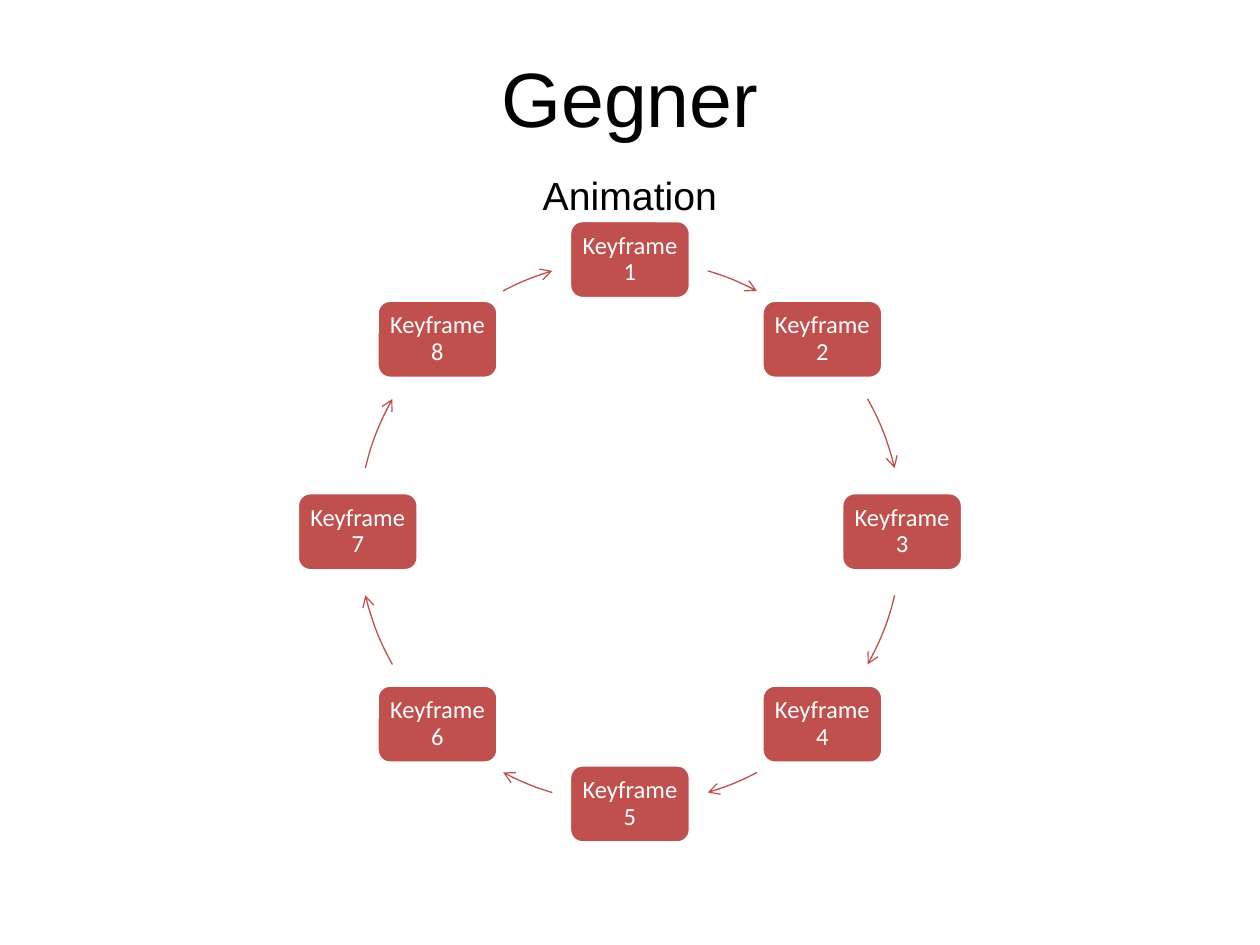
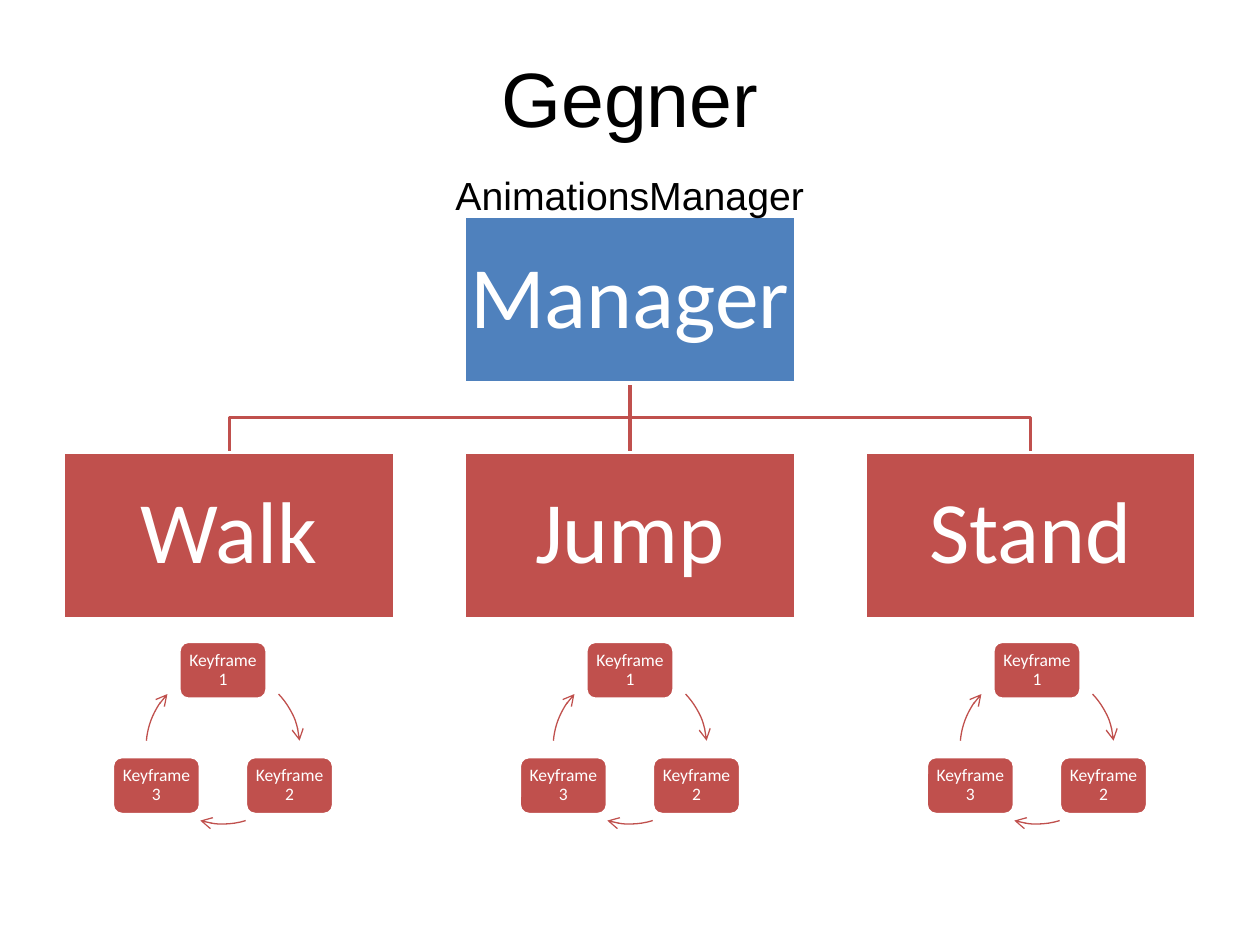
import math

import pptx
import pptx.dml.color
import pptx.enum.shapes
import pptx.enum.text
import pptx.oxml
import pptx.oxml.ns
import pptx.util

Inches = pptx.util.Inches
Pt = pptx.util.Pt
SHAPES = pptx.enum.shapes.MSO_SHAPE

RED = "C0504D"
BLUE = "4F81BD"
WHITE = "FFFFFF"
BLACK = "000000"
CENTRE_X = 5
TREE_STEP = 3.18
CYCLE_STEP = 3.23
NODE_SIZE = (2.63, 1.32)
MANAGER_Y = 2.38
ACTION_Y = 4.25


def colour(value):
    return pptx.dml.color.RGBColor.from_string(value)


def set_line(item, value, width):
    item.line.color.rgb = colour(value)
    item.line.width = Pt(width)


def remove_effects(connector):
    effects = pptx.oxml.parse_xml("<a:effectLst %s/>" % pptx.oxml.ns.nsdecls("a"))
    connector.element.spPr.append(effects)


def add_arrowhead(item):
    tail = pptx.oxml.parse_xml('<a:tailEnd type="arrow" %s/>' % pptx.oxml.ns.nsdecls("a"))
    item.line._get_or_add_ln().append(tail)


def write_text(box, text, size, font, text_colour):
    frame = box.text_frame
    frame.word_wrap = True
    frame.vertical_anchor = pptx.enum.text.MSO_ANCHOR.MIDDLE
    para = frame.paragraphs[0]
    para.alignment = pptx.enum.text.PP_ALIGN.CENTER
    span = para.add_run()
    span.text = text
    span.font.size = Pt(size)
    span.font.name = font
    span.font.color.rgb = colour(text_colour)
    return frame


def add_heading(page, text, left, top, width, height, size):
    box = page.shapes.add_textbox(Inches(left), Inches(top), Inches(width), Inches(height))
    return write_text(box, text, size, "Arial", BLACK)


def add_page(deck):
    page = deck.slides.add_slide(deck.slide_layouts[6])
    add_heading(page, "Gegner", 0.5, 0.3, 9, 0.93, 44)
    return page


def add_subtitle(page, text):
    frame = add_heading(page, text, 0.51, 1.31, 8.98, 0.39, 22.4)
    frame.vertical_anchor = pptx.enum.text.MSO_ANCHOR.TOP
    frame.paragraphs[0].space_before = Pt(3)


def add_node(page, kind, text, x, y, size, fill, font_size, inset):
    width, height = size
    node = page.shapes.add_shape(kind, Inches(x - width / 2), Inches(y - height / 2),
                                 Inches(width), Inches(height))
    node.shadow.inherit = False
    node.fill.solid()
    node.fill.fore_color.rgb = colour(fill)
    set_line(node, WHITE, 2)
    frame = write_text(node, text, font_size, "Calibri", WHITE)
    frame.margin_left = frame.margin_right = Inches(inset)
    frame.margin_top = frame.margin_bottom = Inches(inset)
    frame.paragraphs[0].line_spacing = 0.9
    return node


def add_arc_arrow(page, x, y, radius, start, end):
    arc = page.shapes.add_shape(SHAPES.ARC, Inches(x - radius), Inches(y - radius),
                                Inches(2 * radius), Inches(2 * radius))
    arc.shadow.inherit = False
    arc.fill.background()
    for index, angle in enumerate((start, end)):
        arc.adjustments[index] = (angle - 90) % 360 * 0.6
    set_line(arc, RED, 0.75)
    add_arrowhead(arc)


def add_cycle(page, x, y, radius, arcs, size, font_size, inset):
    for index, (start, end) in enumerate(arcs):
        angle = 2 * math.pi * index / len(arcs)
        add_node(page, SHAPES.ROUNDED_RECTANGLE, f"Keyframe {index + 1}",
                 x + radius * math.sin(angle), y - radius * math.cos(angle),
                 size, RED, font_size, inset)
        add_arc_arrow(page, x, y, radius, start, end)


def add_branch(page, x, top, bottom):
    middle = (top + bottom) / 2
    builder = page.shapes.build_freeform(Inches(CENTRE_X), Inches(top))
    corners = [(CENTRE_X, middle), (x, middle), (x, bottom)]
    builder.add_line_segments([(Inches(a), Inches(b)) for a, b in corners], close=False)
    branch = builder.convert_to_shape()
    branch.shadow.inherit = False
    branch.fill.background()
    set_line(branch, RED, 2)


def add_tree(page, root, actions):
    top = MANAGER_Y + NODE_SIZE[1] / 2
    bottom = ACTION_Y - NODE_SIZE[1] / 2
    for side in (1, -1):
        add_branch(page, CENTRE_X + side * TREE_STEP, top, bottom)
    trunk = page.shapes.add_connector(pptx.enum.shapes.MSO_CONNECTOR.STRAIGHT,
                                      Inches(CENTRE_X), Inches(top),
                                      Inches(CENTRE_X), Inches(bottom))
    set_line(trunk, RED, 2)
    remove_effects(trunk)
    manager = add_node(page, SHAPES.RECTANGLE, root, CENTRE_X, MANAGER_Y,
                       NODE_SIZE, BLUE, 50, 0.03)
    nodes = [add_node(page, SHAPES.RECTANGLE, action, CENTRE_X + column * TREE_STEP,
                      ACTION_Y, NODE_SIZE, RED, 50, 0.03)
             for column, action in enumerate(actions, -1)]
    trunk.begin_connect(manager, 2)
    trunk.end_connect(nodes[1], 0)


def main():
    deck = pptx.Presentation()
    deck.slide_width = Inches(10)
    deck.slide_height = Inches(7.5)

    page = add_page(deck)
    quarter = [(16.6, 27.8), (60.8, 76.5)]
    half = quarter + [(180 - end, 180 - start) for start, end in reversed(quarter)]
    circle = half + [(start + 180, end + 180) for start, end in half]
    add_cycle(page, CENTRE_X, 4.22, 2.16, circle, (0.96, 0.62), 14, 0.06)
    add_subtitle(page, "Animation")

    page = add_page(deck)
    add_tree(page, "Manager", ["Walk", "Jump", "Stand"])
    add_subtitle(page, "AnimationsManager")
    triangle = [(46.3, 85.2), (162.8, 197.2), (274.8, 313.7)]
    for column in (-1, 0, 1):
        add_cycle(page, CENTRE_X + column * CYCLE_STEP, 5.93, 0.61, triangle,
                  (0.7, 0.46), 10, 0.04)

    deck.save("out.pptx")


if __name__ == "__main__":
    main()
